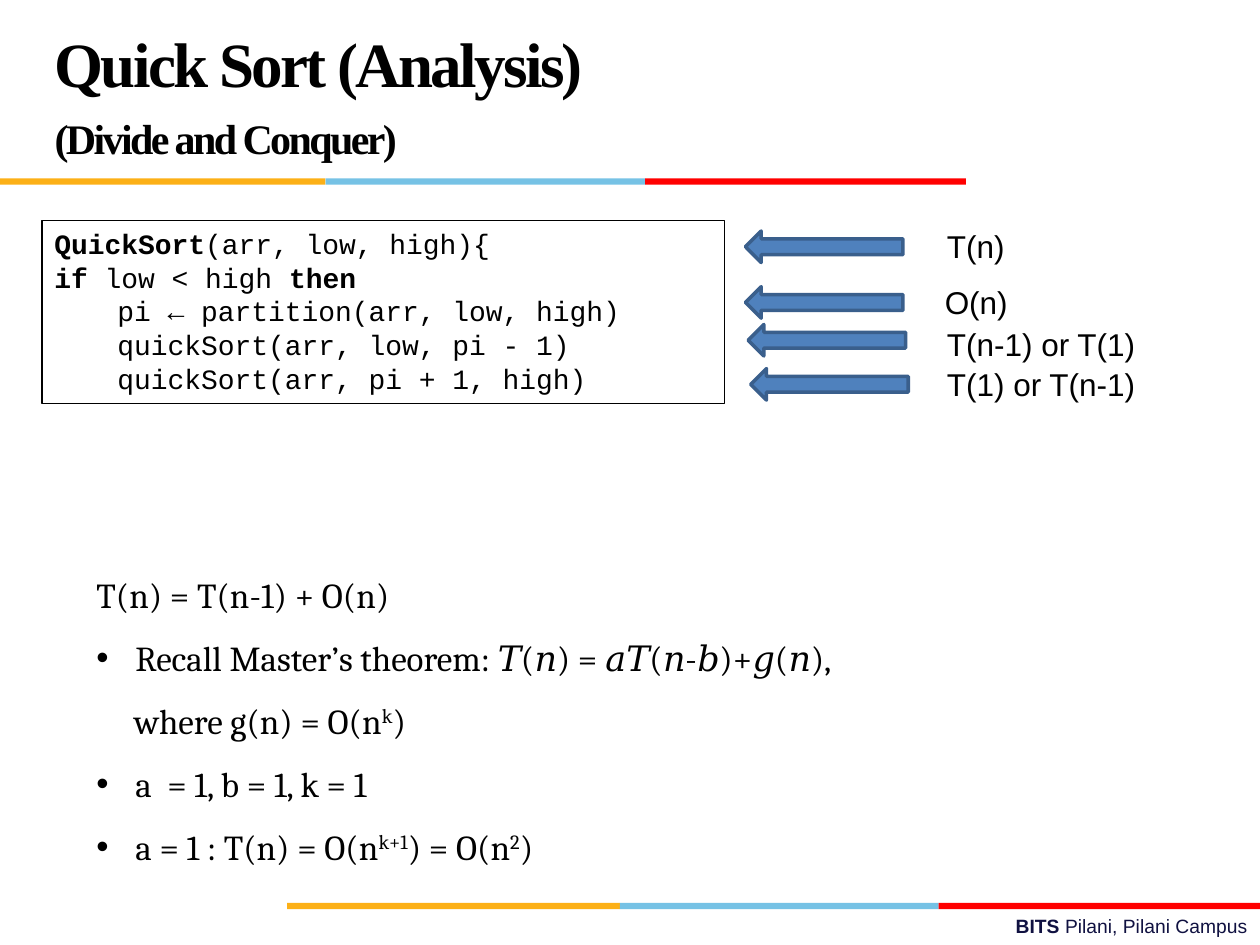
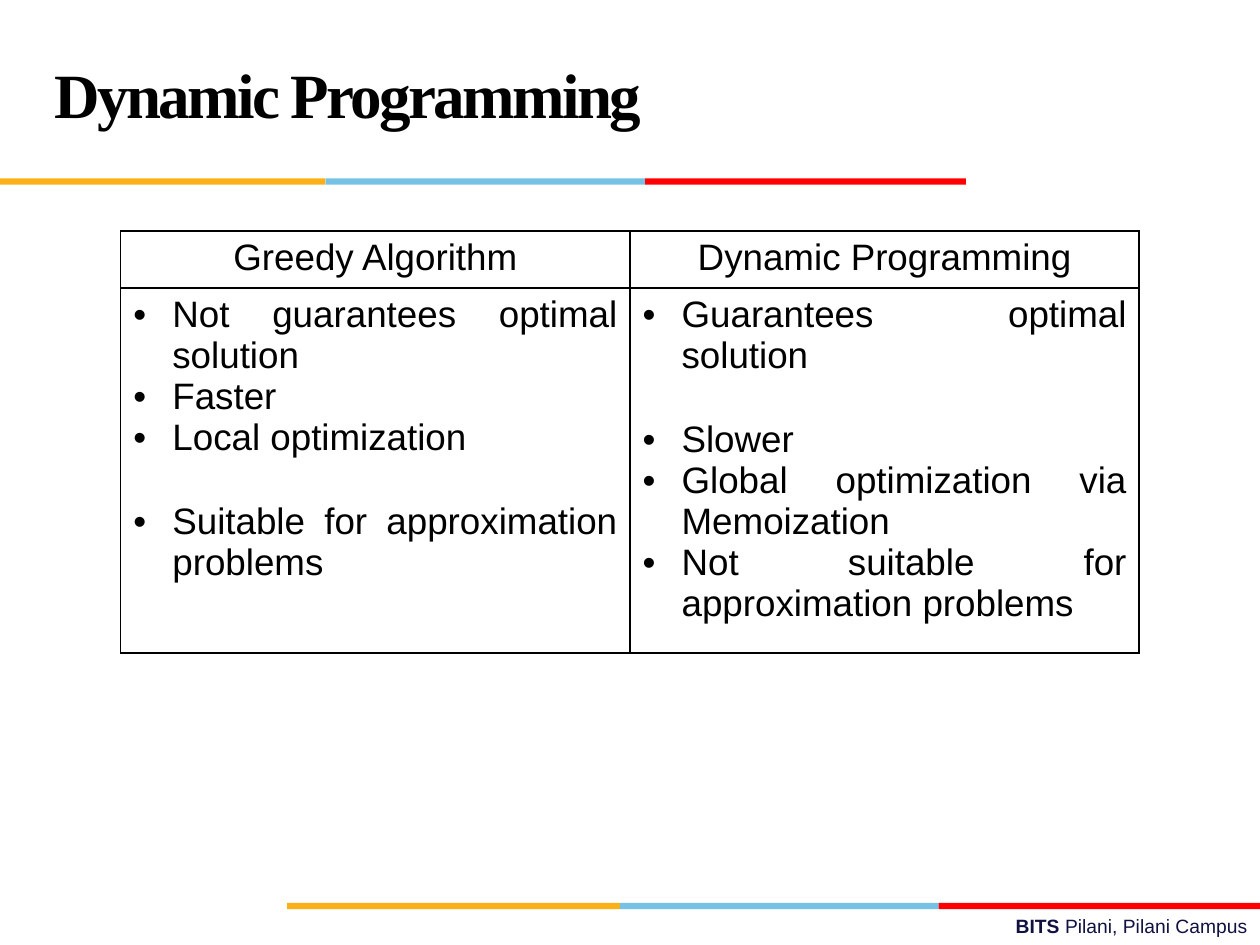
from itertools import pairwise

from lxml.etree import SubElement
from pptx import Presentation
from pptx.dml.color import RGBColor
from pptx.enum.shapes import MSO_SHAPE as SHAPE
from pptx.enum.text import MSO_ANCHOR as ANCHOR, MSO_AUTO_SIZE as FIT, PP_ALIGN as ALIGN
from pptx.oxml.ns import qn
from pptx.util import Inches, Pt

# Slide grid: 120 columns by 90 rows
WIDTH, HEIGHT = Inches(10), Inches(7.5)
COL, ROW = WIDTH / 120, HEIGHT / 90

BLACK = RGBColor(0x00, 0x00, 0x00)
NAVY = RGBColor(0x10, 0x11, 0x41)
AMBER = RGBColor(0xFC, 0xB0, 0x17)
SKY = RGBColor(0x76, 0xC2, 0xE5)
RED = RGBColor(0xFF, 0x00, 0x00)
ARROW_FILL = RGBColor(0x4F, 0x81, 0xBD)
ARROW_LINE = RGBColor(0x3A, 0x5F, 0x8C)

HEADER_EDGES = (0, 31, 61.45, 92)
FOOTER_EDGES = (27.35, 59.05, 89.4, 120)
BULLET_INDENT = Inches(0.31)

# Run styles
BOLD, SUPER = "bold", "super"


def box(x, y, w, h):
    """Turn grid columns and rows into lengths."""
    return round(x * COL), round(y * ROW), round(w * COL), round(h * ROW)


def add_run(p, text, font, size, color=BLACK, style=None):
    r = p.add_run()
    r.text = text
    r.font.name, r.font.size = font, Pt(size)
    r.font.color.rgb = color
    r.font.bold = style == BOLD
    if style == SUPER:
        r.font._element.set("baseline", "30000")
    return r


def add_paragraph(tf, runs, font, size, color=BLACK, align=ALIGN.LEFT):
    """Fill the first paragraph if it is empty, else append one."""
    p = tf.paragraphs[-1]
    if p.runs:
        p = tf.add_paragraph()
    p.alignment = align
    for text, style in runs:
        add_run(p, text, font, size, color, style)
    return p


def indent(p, left, bullet=False):
    pPr = p._p.get_or_add_pPr()
    pPr.set("marL", str(left))
    if bullet:
        pPr.set("indent", str(-left))
        SubElement(pPr, qn("a:buFont"), typeface="Arial")
        SubElement(pPr, qn("a:buChar"), char="•")


def add_text(s, place, wrap=True):
    tf = s.shapes.add_textbox(*box(*place)).text_frame
    tf.word_wrap = wrap
    return tf


def add_shape(s, kind, place, fill=None, line=None, line_width=0.75):
    sp = s.shapes.add_shape(kind, *box(*place))
    sp.shadow.inherit = False
    if fill is None:
        sp.fill.background()
    else:
        sp.fill.solid()
        sp.fill.fore_color.rgb = fill
    if line is None:
        sp.line.fill.background()
    else:
        sp.line.color.rgb = line
        sp.line.width = Pt(line_width)
    return sp


def add_band(s, edges, y):
    for (left, right), color in zip(pairwise(edges), (AMBER, SKY, RED)):
        add_shape(s, SHAPE.RECTANGLE, (left, y, right - left, 0.6), color)


def add_slide(prs, *title_lines):
    """Start a slide with its title, colour bands and footer."""
    s = prs.slides.add_slide(prs.slide_layouts[5])
    add_band(s, FOOTER_EDGES, 86)
    add_band(s, HEADER_EDGES, 17)
    footer = add_text(s, (43, 86.5, 77, 3.5))
    add_paragraph(footer, [("BITS ", BOLD), ("Pilani, Pilani Campus", None)],
                  "Arial", 11, NAVY, ALIGN.RIGHT)

    title = s.shapes.title
    title.left, title.top, title.width, title.height = box(4, 2, 83, 15)
    tf = title.text_frame
    tf.auto_size, tf.vertical_anchor = FIT.NONE, ANCHOR.MIDDLE
    for text, size in title_lines:
        p = add_paragraph(tf, [(text, BOLD)], "Times New Roman", size)
        p.line_spacing, p.space_before = Pt(36), Pt(0)
        p.runs[0].font._element.set("spc", "-150")
    return s


def add_code(s, place, lines):
    sp = add_shape(s, SHAPE.RECTANGLE, place, line=BLACK)
    tf = sp.text_frame
    tf.word_wrap, tf.vertical_anchor = True, ANCHOR.TOP
    for runs in lines:
        add_paragraph(tf, runs, "Courier New", 16)


def add_cost(s, arrow_x, arrow_y, label_x, label_y, label_width, label):
    """Arrow to a code line, with the cost of that line."""
    add_shape(s, SHAPE.LEFT_ARROW, (arrow_x, arrow_y, 15, 3), ARROW_FILL, ARROW_LINE, 2)
    tf = add_text(s, (label_x, label_y, label_width, 4.8), wrap=False)
    add_paragraph(tf, [(label, None)], "Arial", 18)


def add_derivation(s, place, lines):
    tf = add_text(s, place)
    for left, bullet, runs in lines:
        p = add_paragraph(tf, runs, "Cambria", 20)
        p.line_spacing = 1.5
        indent(p, left, bullet)


def outline_cell(cell):
    cell.fill.background()
    tcPr = cell._tc.get_or_add_tcPr()
    for i, side in enumerate(("lnL", "lnR", "lnT", "lnB")):
        ln = tcPr.makeelement(qn(f"a:{side}"), {"w": str(Pt(1))})
        fill = SubElement(ln, qn("a:solidFill"))
        SubElement(fill, qn("a:srgbClr"), val=str(BLACK))
        tcPr.insert(i, ln)


def add_comparison(s, place, row_heights, columns):
    """Table with a heading and a bulleted list in each column."""
    table = s.shapes.add_table(2, len(columns), *box(*place)).table
    table.first_row = table.horz_banding = False
    for row, height in zip(table.rows, row_heights):
        row.height = round(height * ROW)
    for i, (heading, points) in enumerate(columns):
        head, body = table.cell(0, i), table.cell(1, i)
        outline_cell(head)
        outline_cell(body)
        add_paragraph(head.text_frame, [(heading, None)], "Arial", 21, align=ALIGN.CENTER)
        for text, gap in points:
            p = add_paragraph(body.text_frame, [(text, None)], "Arial", 21,
                              align=ALIGN.JUSTIFY)
            p.space_after = Pt(gap)
            indent(p, BULLET_INDENT, bullet=True)


def quick_sort_slide(prs):
    s = add_slide(prs, ("Quick Sort (Analysis)", 36), ("(Divide and Conquer)", 24))
    add_code(s, (4, 21, 65, 17.4), [
        [("QuickSort", BOLD), ("(arr, low, high){", None)],
        [("if ", BOLD), ("low < high ", None), ("then", BOLD)],
        [("\tpi ← partition(arr, low, high)", None)],
        [("\tquickSort(arr, low, pi - 1)", None)],
        [("\tquickSort(arr, pi + 1, high)", None)],
    ])

    # Cost of each code line
    for cost in [
        (71, 22, 89, 21, 7.9, "T(n)"),
        (71, 27.3, 88.8, 26.4, 8.5, "O(n)"),
        (71.25, 30.9, 89, 30.4, 20.5, "T(n-1) or T(1)"),
        (71.5, 35.1, 89, 34.2, 20.5, "T(1) or T(n-1)"),
    ]:
        add_cost(s, *cost)

    # Recurrence and its solution
    add_derivation(s, (8, 52, 100, 30.7), [
        (0, False, [("T(n) = T(n-1) + O(n)", None)]),
        (BULLET_INDENT, True,
         [("Recall Master’s theorem: 𝑇(𝑛) = 𝑎𝑇(𝑛-𝑏)+𝑔(𝑛),", None)]),
        (Inches(0.3), False, [("where g(n) = O(n", None), ("k", SUPER), (")", None)]),
        (BULLET_INDENT, True, [("a  = 1, b = 1, k = 1", None)]),
        (BULLET_INDENT, True,
         [("a = 1 : T(n) = O(n", None), ("k+1", SUPER), (") = O(n", None),
          ("2", SUPER), (")", None)]),
    ])


def dynamic_programming_slide(prs):
    s = add_slide(prs, ("Dynamic Programming", 36))
    # Each point comes with the gap below it, in points
    add_comparison(s, (11.5, 22, 97, 38), (5, 33), [
        ("Greedy Algorithm", [
            ("Not guarantees optimal solution", 0),
            ("Faster", 0),
            ("Local optimization", 25),
            ("Suitable for approximation problems", 0),
        ]),
        ("Dynamic Programming", [
            ("Guarantees optimal solution", 25),
            ("Slower", 0),
            ("Global optimization via Memoization", 0),
            ("Not suitable for approximation problems", 0),
        ]),
    ])


def main():
    prs = Presentation()
    prs.slide_width, prs.slide_height = WIDTH, HEIGHT
    quick_sort_slide(prs)
    dynamic_programming_slide(prs)
    prs.save("out.pptx")


if __name__ == "__main__":
    main()
